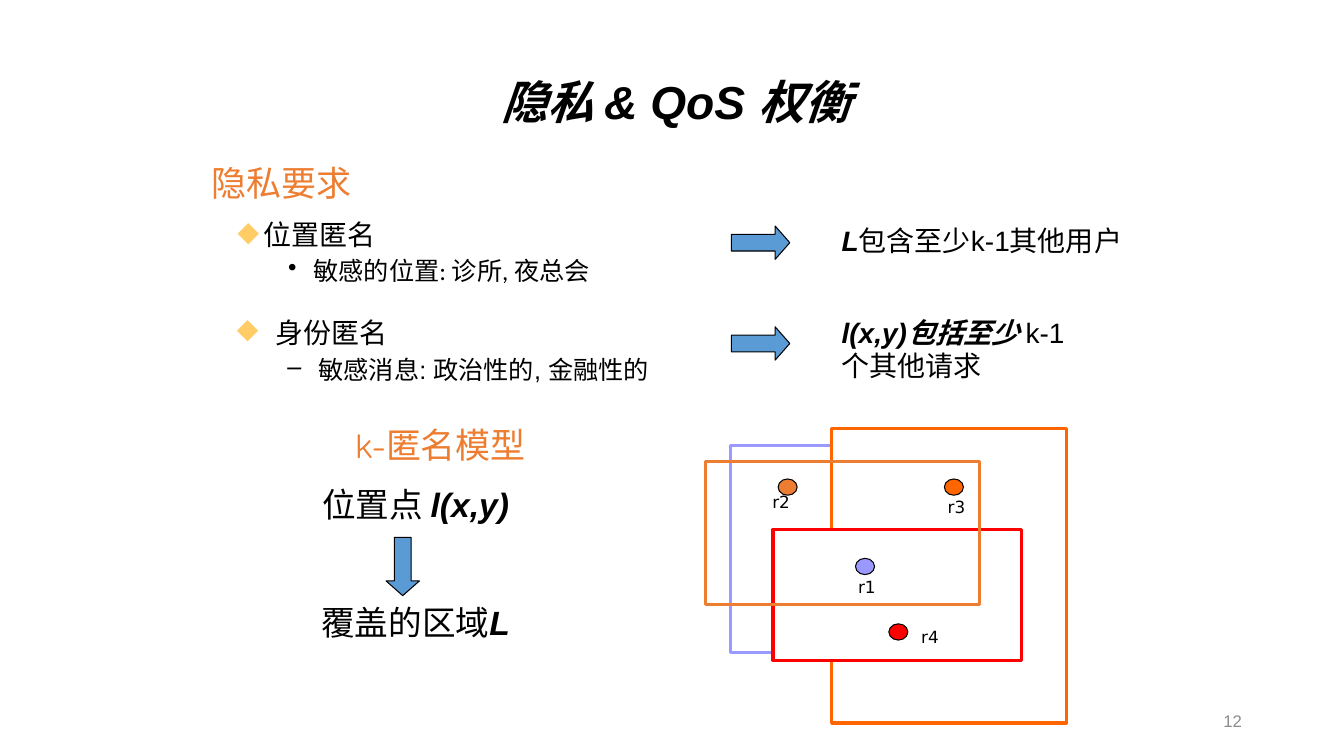
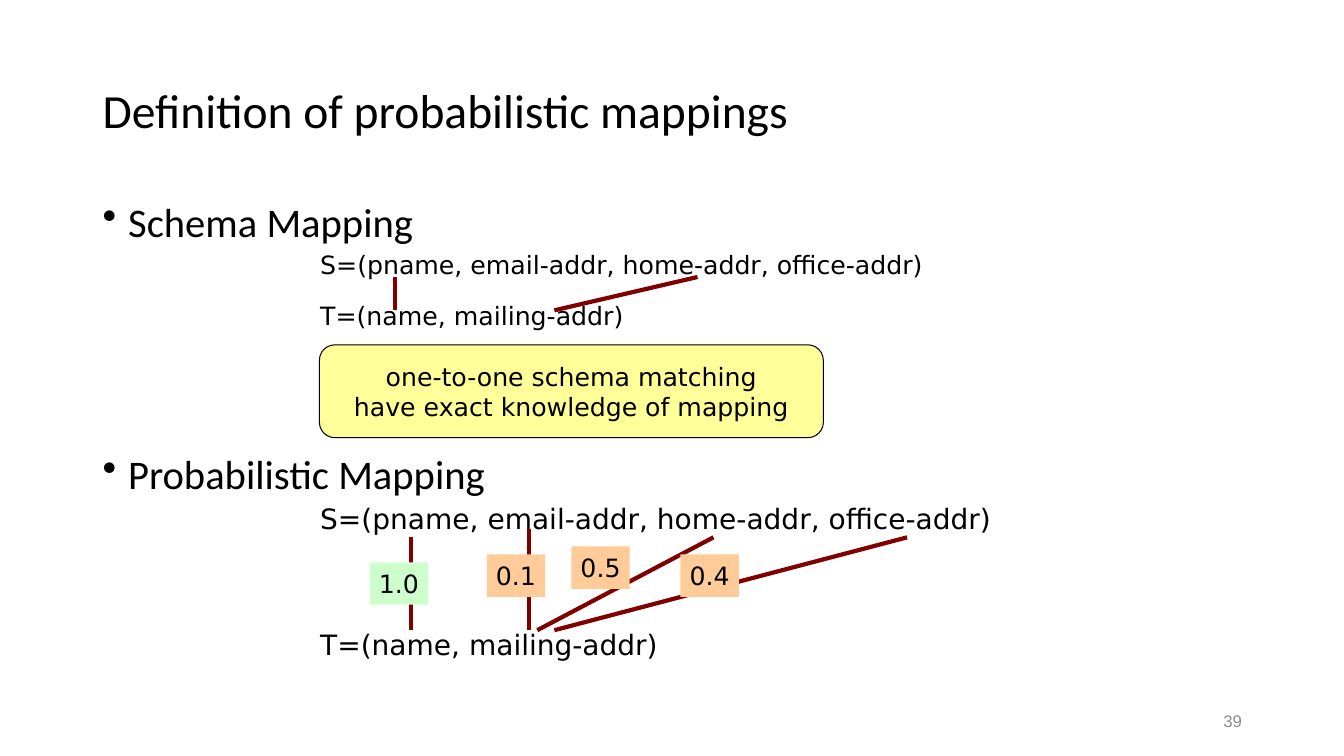
from dataclasses import dataclass
from typing import NamedTuple, Optional

from lxml.etree import SubElement
from pptx import Presentation
from pptx.dml.color import RGBColor
from pptx.enum.shapes import MSO_CONNECTOR as Connector, MSO_SHAPE as Preset
from pptx.enum.text import MSO_ANCHOR as Anchor, PP_ALIGN as Align
from pptx.oxml.ns import qn
from pptx.util import Cm, Pt

# Shared style
BLACK, WHITE, GREY = "000000", "FFFFFF", "8C8C8C"
ORANGE, VIVID_ORANGE, RED, LILAC = "ED7D31", "FF6600", "FF0000", "9999FF"
ARROW_BLUE, DIAMOND, MAROON = "5B9BD5", "FFCC66", "800000"
YELLOW, GREEN, PEACH = "FFFF99", "CCFFCC", "FFCC99"
ARIAL, CALIBRI, COMIC, DEJAVU = "Arial", "Calibri", "Comic Neue", "DejaVu Sans"


class Box(NamedTuple):
    """Position and size in centimetres."""
    left: float
    top: float
    width: float
    height: float


class Bullet(NamedTuple):
    char: str
    indent: float
    hanging: float
    color: Optional[str] = None


@dataclass
class Line:
    """One paragraph; pieces listed in strong are bold italic."""
    pieces: tuple[str, ...]
    size: float
    font: str = ARIAL
    color: str = BLACK
    strong: tuple[int, ...] = ()
    align: Align = Align.LEFT
    bullet: Optional[Bullet] = None
    spacing: float = 1.0
    before: float = 0


class Request(NamedTuple):
    label: str
    color: str
    dot: tuple[float, float]
    label_at: tuple[float, float]


class Region(NamedTuple):
    box: Box
    color: str
    fill: Optional[str] = WHITE


class Weight(NamedTuple):
    value: str
    left: float
    top: float
    fill: str


def rgb(color: str) -> RGBColor:
    return RGBColor.from_string(color)


def set_bullet(para, bullet: Bullet) -> None:
    props = para._p.get_or_add_pPr()
    props.set("marL", str(Cm(bullet.indent)))
    props.set("indent", str(-Cm(bullet.hanging)))
    if bullet.color:
        SubElement(SubElement(props, qn("a:buClr")), qn("a:srgbClr"), val=bullet.color)
    SubElement(props, qn("a:buChar"), char=bullet.char)


def write(frame, lines: list[Line], anchor: Anchor, wrap: bool) -> None:
    frame.word_wrap = wrap
    frame.vertical_anchor = anchor
    for number, line in enumerate(lines):
        para = frame.add_paragraph() if number else frame.paragraphs[0]
        para.text = line.pieces[0]
        for piece in line.pieces[1:]:
            para.add_run().text = piece
        if line.bullet:
            set_bullet(para, line.bullet)
        para.alignment = line.align
        para.line_spacing = line.spacing
        if number:
            para.space_before = Pt(line.before)
        for position, run in enumerate(para.runs):
            font = run.font
            font.name, font.size = line.font, Pt(line.size)
            font.color.rgb = rgb(line.color)
            font.bold = font.italic = position in line.strong


def add_text(slide, box: Box, *lines: Line, anchor: Anchor = Anchor.TOP,
             wrap: bool = True) -> None:
    textbox = slide.shapes.add_textbox(*map(Cm, box))
    write(textbox.text_frame, list(lines), anchor, wrap)


def add_preset(slide, preset: Preset, box: Box, fill: Optional[str],
               outline: Optional[str] = None, width: float = 0.75,
               lines: tuple[Line, ...] = ()):
    shape = slide.shapes.add_shape(preset, *map(Cm, box))
    shape.shadow.inherit = False
    if fill:
        shape.fill.solid()
        shape.fill.fore_color.rgb = rgb(fill)
    else:
        shape.fill.background()
    if outline:
        shape.line.color.rgb = rgb(outline)
        shape.line.width = Pt(width)
    else:
        shape.line.fill.background()
    if lines:
        write(shape.text_frame, list(lines), Anchor.MIDDLE, wrap=False)
    return shape


def add_arrow(slide, left: float, top: float, rotation: float = 0) -> None:
    arrow = add_preset(slide, Preset.DOWN_ARROW, Box(left, top, 0.84, 1.47),
                       ARROW_BLUE, BLACK)
    arrow.adjustments[0], arrow.adjustments[1] = 0.5, 0.44
    arrow.rotation = rotation


def add_link(slide, x1: float, y1: float, x2: float, y2: float) -> None:
    link = slide.shapes.add_connector(Connector.STRAIGHT, *map(Cm, (x1, y1, x2, y2)))
    link.line.color.rgb = rgb(MAROON)
    link.line.width = Pt(3)
    SubElement(link._element.spPr, qn("a:effectLst"))


def new_slide(deck, number: int):
    slide = deck.slides.add_slide(deck.slide_layouts[6])
    add_text(slide, Box(23.93, 17.65, 7.62, 1.02),
             Line((str(number),), 12, color=GREY, align=Align.RIGHT), anchor=Anchor.MIDDLE)
    return slide


def build_privacy(deck) -> None:
    slide = new_slide(deck, 12)

    # Overlapping cloaking regions
    regions = [
        Region(Box(18.42, 11.23, 7.42, 5.21), LILAC),
        Region(Box(20.96, 10.8, 5.92, 7.42), VIVID_ORANGE),
        Region(Box(19.48, 13.34, 6.27, 3.3), RED),
        Region(Box(17.78, 11.63, 6.91, 3.61), ORANGE, None),
    ]
    for region in regions:
        add_preset(slide, Preset.RECTANGLE, region.box, region.fill, region.color, 2.25)

    # Requests inside the regions
    requests = [
        Request("r1", LILAC, (21.56, 14.07), (21.36, 14.4)),
        Request("r2", ORANGE, (19.61, 12.07), (19.2, 12.27)),
        Request("r4", RED, (22.4, 15.72), (22.95, 15.67)),
        Request("r3", VIVID_ORANGE, (23.8, 12.07), (23.62, 12.4)),
    ]
    for request in requests:
        add_preset(slide, Preset.OVAL, Box(*request.dot, 0.48, 0.41), request.color, BLACK)
        add_text(slide, Box(*request.label_at, 0.97, 0.76),
                 Line((request.label,), 12, DEJAVU, align=Align.CENTER), wrap=False)

    # Title and section headings
    add_text(slide, Box(8.46, 1.7, 17.15, 1.7),
             Line(("隐私 & QoS 权衡",), 33, strong=(0,), align=Align.CENTER),
             anchor=Anchor.MIDDLE)
    add_text(slide, Box(5.08, 3.81, 11.63, 1.7),
             Line(("隐私要求",), 25, COMIC, ORANGE, spacing=0.9), anchor=Anchor.MIDDLE)
    add_text(slide, Box(5.92, 10.36, 10.36, 1.7),
             Line(("k-匿名模型",), 25, COMIC, ORANGE, align=Align.CENTER),
             anchor=Anchor.MIDDLE)

    # Privacy requirements
    add_text(slide, Box(5.74, 5.46, 14.2, 2.29),
             Line(("位置匿名",), 20, CALIBRI, spacing=0.9,
                  bullet=Bullet("◆", 0.64, 0.64, DIAMOND)),
             Line(("敏感的位置: 诊所, 夜总会",), 18, CALIBRI, spacing=0.9, before=5,
                  bullet=Bullet("•", 1.91, 0.64)))
    add_text(slide, Box(5.72, 7.82, 14.81, 2.34),
             Line(("身份匿名",), 20, bullet=Bullet("◆", 0.97, 0.97, DIAMOND)),
             Line(("敏感消息: 政治性的, 金融性的",), 18, before=4,
                  bullet=Bullet("–", 2.06, 0.79)))

    # What each requirement leads to
    for top in (5.38, 7.92):
        add_arrow(slide, 18.75, top, 270)
    add_text(slide, Box(20.96, 5.51, 8.69, 1.12),
             Line(("L", "包含至少k-1其他用户"), 20, strong=(0,)))
    add_text(slide, Box(20.96, 7.82, 6.78, 1.96),
             Line(("l(x,y)包括至少 ", "k-1个其他请求"), 20, strong=(0,)))

    # From point to covering region
    for top, pieces in ((12.07, ("位置点 ", "l(x,y)")), (15.04, ("覆盖的区域", "L"))):
        add_text(slide, Box(6.03, top, 8.89, 1.27),
                 Line(pieces, 24, strong=(1,), align=Align.CENTER))
    add_arrow(slide, 9.73, 13.54)


def build_mappings(deck) -> None:
    slide = new_slide(deck, 39)

    # Title and headings
    add_text(slide, Box(2.34, 1.02, 29.21, 3.68),
             Line(("Definition of probabilistic mappings",), 34, CALIBRI, spacing=0.9),
             anchor=Anchor.MIDDLE)
    dot = Bullet("•", 0.64, 0.64)
    add_text(slide, Box(2.34, 5.08, 29.21, 12.09),
             *(Line((heading,), 29, CALIBRI, bullet=dot, spacing=0.8, before=152)
               for heading in ("Schema Mapping", "Probabilistic Mapping")))

    # Source and target schemas
    source = "S=(pname, email-addr, home-addr, office-addr)"
    target = "T=(name, mailing-addr)"
    for size, source_top, target_top in ((18, 6.15, 7.44), (20, 12.5, 15.7)):
        for top, schema in ((source_top, source), (target_top, target)):
            add_text(slide, Box(7.82, top, 17.78, 1.12), Line((schema,), size, DEJAVU))

    # Attribute correspondences
    links = [
        (9.96, 6.98, 9.96, 7.82),
        (17.58, 6.98, 13.97, 7.82),
        (10.36, 13.54, 10.36, 15.88),
        (13.34, 13.34, 13.34, 15.88),
        (17.98, 13.54, 13.54, 15.88),
        (22.86, 13.54, 13.97, 15.88),
    ]
    for link in links:
        add_link(slide, *link)

    # Remark on exact matching
    remark = ("one-to-one schema matching", "have exact knowledge of mapping")
    add_preset(slide, Preset.ROUNDED_RECTANGLE, Box(8.05, 8.69, 12.7, 2.34), YELLOW, BLACK,
               lines=tuple(Line((text,), 18, DEJAVU, align=Align.CENTER) for text in remark))

    # Probability of each correspondence
    weights = [
        Weight("1.0", 9.32, 14.17, GREEN),
        Weight("0.1", 12.27, 13.97, PEACH),
        Weight("0.5", 14.4, 13.77, PEACH),
        Weight("0.4", 17.15, 13.97, PEACH),
    ]
    for weight in weights:
        add_preset(slide, Preset.RECTANGLE, Box(weight.left, weight.top, 1.47, 1.07),
                   weight.fill,
                   lines=(Line((weight.value,), 18, DEJAVU, align=Align.CENTER),))


def main() -> None:
    deck = Presentation()
    deck.slide_width, deck.slide_height = Cm(33.87), Cm(19.05)
    build_privacy(deck)
    build_mappings(deck)
    deck.save("out.pptx")


if __name__ == "__main__":
    main()
